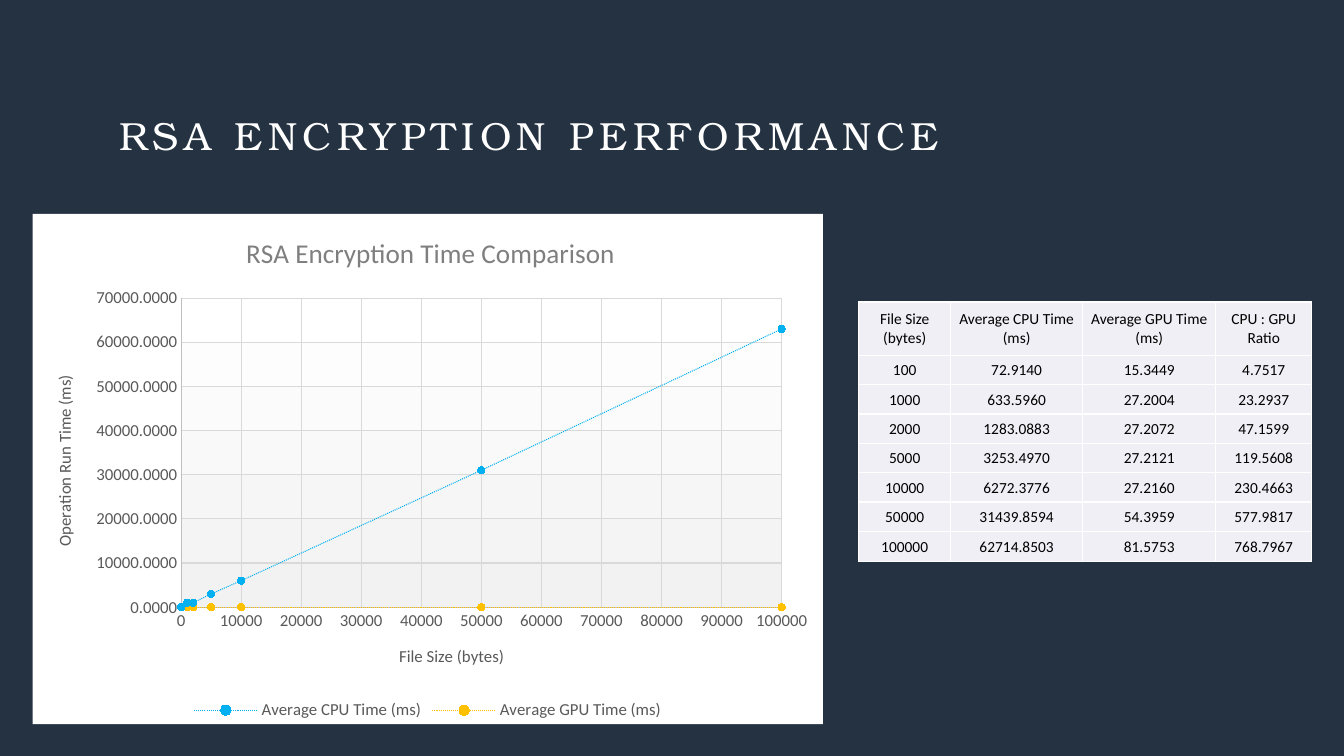
from dataclasses import dataclass

from lxml.etree import SubElement
from pptx import Presentation
from pptx.chart.data import XyChartData
from pptx.dml.color import RGBColor
from pptx.enum.chart import (XL_CHART_TYPE, XL_LEGEND_POSITION,
                             XL_MARKER_STYLE, XL_TICK_MARK)
from pptx.enum.dml import MSO_LINE
from pptx.enum.text import MSO_ANCHOR, PP_ALIGN
from pptx.oxml import parse_xml
from pptx.oxml.ns import nsdecls, qn
from pptx.util import Pt

BODY = "Calibri"
GREY = "595959"
HEADERS = ("File Size (bytes)", "Average CPU Time (ms)",
           "Average GPU Time (ms)", "CPU : GPU Ratio")
ROWS = (
    ("100", "72.9140", "15.3449", "4.7517"),
    ("1000", "633.5960", "27.2004", "23.2937"),
    ("2000", "1283.0883", "27.2072", "47.1599"),
    ("5000", "3253.4970", "27.2121", "119.5608"),
    ("10000", "6272.3776", "27.2160", "230.4663"),
    ("50000", "31439.8594", "54.3959", "577.9817"),
    ("100000", "62714.8503", "81.5753", "768.7967"),
)
COL_WIDTHS = (65.5, 94.5, 95, 68.5)
ROW_HEIGHTS = (38, 21, 21, 21, 21, 21, 21, 21.5)


@dataclass
class Series:
    column: int
    color: str


@dataclass
class Axis:
    title: str
    maximum: int
    number_format: str
    x: float
    y: float
    rotation: int


SERIES = (Series(1, "00B0F0"), Series(2, "FFC000"))
AXES = (Axis(HEADERS[0], 100000, "General", 0.46, 0.838, 0),
        Axis("Operation Run Time (ms)", 70000, "0.0000", 0.022, 0.31, -5400000))


def rgb(color: str) -> RGBColor:
    return RGBColor.from_string(color)


def to_thousands(text: str) -> int:
    return int(round(float(text), -3))


def style_font(font, size: float, color: str, name: str = BODY) -> None:
    font.size = Pt(size)
    font.name = name
    font.bold = False
    font.color.rgb = rgb(color)


def style_line(line, color: str) -> None:
    line.color.rgb = rgb(color)
    line.width = Pt(0.75)


def place(element, **edges: float) -> None:
    for old in element.findall(qn("c:layout")):
        element.remove(old)
    layout = parse_xml(f'<c:layout {nsdecls("c")}><c:manualLayout/></c:layout>')
    manual = layout[0]
    if "w" in edges:
        SubElement(manual, qn("c:layoutTarget"), val="inner")
    for edge in "xy":
        SubElement(manual, qn(f"c:{edge}Mode"), val="edge")
    for edge, value in edges.items():
        SubElement(manual, qn(f"c:{edge}"), val=str(value))
    overlay = element.find(qn("c:overlay"))
    if overlay is None:
        element.insert(0, layout)
    else:
        overlay.addprevious(layout)


def chart_fill(fill: str):
    return parse_xml(f'<c:spPr {nsdecls("c", "a")}>{fill}'
                     '<a:ln><a:noFill/></a:ln></c:spPr>')


def set_title(title, text: str, size: float, color: str,
              x: float, y: float) -> None:
    tf = title.text_frame
    tf.text = text
    style_font(tf.paragraphs[0].runs[0].font, size, color)
    place(title.element, x=x, y=y)


def style_axis(axis, look: Axis) -> None:
    axis.minimum_scale = 0
    axis.maximum_scale = look.maximum
    axis.major_unit = 10000
    axis.major_tick_mark = axis.minor_tick_mark = XL_TICK_MARK.NONE
    axis.has_major_gridlines = True
    style_line(axis.major_gridlines.format.line, "D9D9D9")
    style_line(axis.format.line, "BFBFBF")
    labels = axis.tick_labels
    labels.number_format = look.number_format
    labels.number_format_is_linked = False
    style_font(labels.font, 12, GREY)
    set_title(axis.axis_title, look.title, 12, GREY, look.x, look.y)
    body = next(axis.axis_title.element.iter(qn("a:bodyPr")))
    body.set("rot", str(look.rotation))
    body.set("vert", "horz")


def add_heading(slide) -> None:
    sp = slide.shapes.add_textbox(Pt(85), Pt(79.5), Pt(790), Pt(52))
    tf = sp.text_frame
    tf.word_wrap = True
    tf.margin_left = tf.margin_right = tf.margin_top = tf.margin_bottom = 0
    tf.text = "RSA ENCRYPTION PERFORMANCE"
    r = tf.paragraphs[0].runs[0]
    style_font(r.font, 28, "FFFFFF", "TeX Gyre Bonum")
    r._r.get_or_add_rPr().set("spc", "400")


def add_time_chart(slide) -> None:
    data = XyChartData()
    for look in SERIES:
        points = data.add_series(HEADERS[look.column])
        for row in ROWS:
            points.add_data_point(to_thousands(row[0]),
                                  to_thousands(row[look.column]))
    chart = slide.shapes.add_chart(XL_CHART_TYPE.XY_SCATTER_LINES, Pt(23.25),
                                   Pt(152.75), Pt(564.5), Pt(364.5), data).chart
    style_font(chart.font, 10, GREY)
    chart.element.find(qn("c:txPr")).addprevious(
        chart_fill('<a:solidFill><a:srgbClr val="FFFFFF"/></a:solidFill>'))
    chart.has_title = True
    set_title(chart.chart_title, "RSA Encryption Time Comparison",
              19.4, "7F7F7F", 0.264, 0.03)
    chart.has_legend = True
    chart.legend.position = XL_LEGEND_POSITION.BOTTOM
    chart.legend.include_in_layout = False
    style_font(chart.legend.font, 12, GREY)
    for axis, look in zip((chart.category_axis, chart.value_axis), AXES):
        style_axis(axis, look)

    plot = chart.plots[0]
    plot.vary_by_categories = False
    for series, look in zip(plot.series, SERIES):
        series.smooth = False
        style_line(series.format.line, look.color)
        series.format.line.dash_style = MSO_LINE.ROUND_DOT
        marker = series.marker
        marker.style = XL_MARKER_STYLE.CIRCLE
        marker.size = 5
        marker.format.fill.solid()
        marker.format.fill.fore_color.rgb = rgb(look.color)
        style_line(marker.format.line, look.color)

    area = next(chart.element.iter(qn("c:plotArea")))
    place(area, x=0.188, y=0.165, w=0.76, h=0.606)
    area.append(chart_fill(
        '<a:gradFill><a:gsLst><a:gs pos="0"><a:srgbClr val="FFFFFF"/></a:gs>'
        '<a:gs pos="100000"><a:srgbClr val="F2F2F2"/></a:gs></a:gsLst>'
        '<a:lin ang="5400000" scaled="0"/></a:gradFill>'))


def fill_cell(cell, text: str) -> None:
    cell.fill.solid()
    cell.fill.fore_color.rgb = rgb("EFEFF5")
    cell.vertical_anchor = MSO_ANCHOR.MIDDLE
    cell.margin_left = cell.margin_right = cell.margin_top = Pt(0.75)
    cell.margin_bottom = 0
    p = cell.text_frame.paragraphs[0]
    p.text = text
    p.alignment = PP_ALIGN.CENTER
    style_font(p.runs[0].font, 11, "000000")
    tc_pr = cell._tc.get_or_add_tcPr()
    for index, side in enumerate("LRTB"):
        tc_pr.insert(index, parse_xml(
            f'<a:ln{side} {nsdecls("a")} w="{Pt(1)}"><a:solidFill>'
            f'<a:srgbClr val="FFFFFF"/></a:solidFill></a:ln{side}>'))


def add_time_table(slide) -> None:
    table = slide.shapes.add_table(
        len(ROW_HEIGHTS), len(COL_WIDTHS), Pt(613.5), Pt(215.75),
        Pt(sum(COL_WIDTHS)), Pt(sum(ROW_HEIGHTS))).table
    table.first_row = table.horz_banding = False
    for column, width in zip(table.columns, COL_WIDTHS):
        column.width = Pt(width)
    for row, height, texts in zip(table.rows, ROW_HEIGHTS, (HEADERS, *ROWS)):
        row.height = Pt(height)
        for cell, text in zip(row.cells, texts):
            fill_cell(cell, text)


def main() -> None:
    prs = Presentation()
    prs.slide_width, prs.slide_height = Pt(960), Pt(540)
    s = prs.slides.add_slide(prs.slide_layouts[6])
    s.background.fill.solid()
    s.background.fill.fore_color.rgb = rgb("243241")
    add_heading(s)
    add_time_chart(s)
    add_time_table(s)
    prs.save("out.pptx")


if __name__ == "__main__":
    main()
